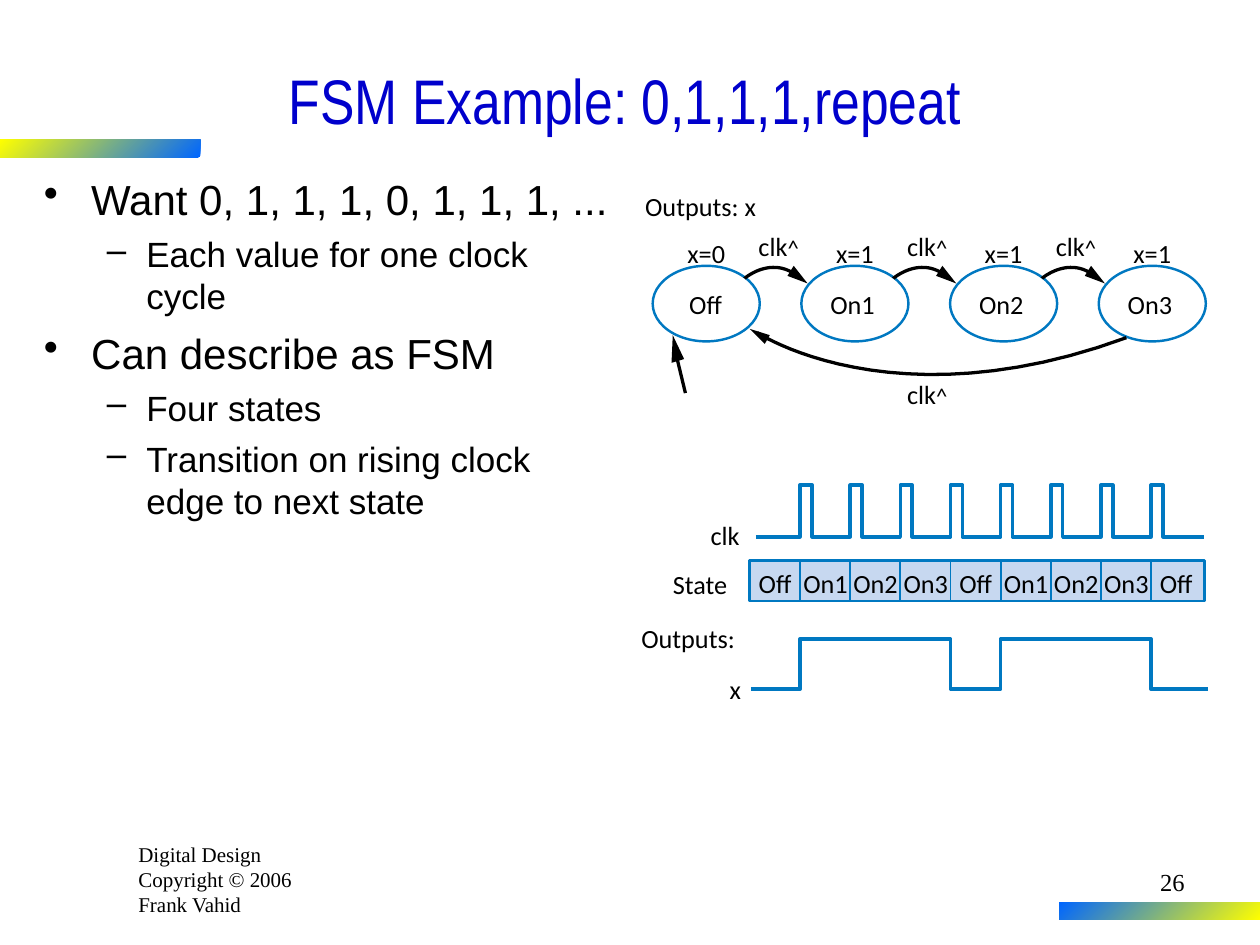
from lxml import etree
from pptx import Presentation
from pptx import util as u
from pptx.dml import color
from pptx.enum import shapes, text
from pptx.oxml import ns

CELL = 0.1  # grid cell in inches: the slide is 100 columns by 75 rows
BLACK, BLUE, TITLE_BLUE, PALE = "000000", "0078C1", "0000CC", "C7D8F0"
SERIF, SANS, LABEL = "Times New Roman", "Arial", "Calibri"


def rgb(hex_code):
    return color.RGBColor.from_string(hex_code)


def grid(*cells):
    return [u.Inches(cell * CELL) for cell in cells]


class SlideBuilder:
    """Draws on one slide; all lengths are columns and rows of the grid."""

    def __init__(self, presentation):
        self.slide = presentation.slides.add_slide(presentation.slide_layouts[6])
        self.shapes = self.slide.shapes

    def style_line(self, shape, line_color, width):
        shape.line.color.rgb = rgb(line_color)
        shape.line.width = u.Pt(width)

    def style_font(self, font, size, name, font_color=BLACK):
        font.size, font.name = u.Pt(size), name
        font.color.rgb = rgb(font_color)

    def text_box(self, box, lines, size, font, font_color=BLACK,
                 align=text.PP_ALIGN.LEFT, anchor=text.MSO_ANCHOR.TOP):
        frame = self.shapes.add_textbox(*grid(*box)).text_frame
        frame.word_wrap, frame.vertical_anchor = True, anchor
        frame.text = "\n".join(lines)
        for paragraph in frame.paragraphs:
            paragraph.alignment = align
            self.style_font(paragraph.font, size, font, font_color)

    def bullets(self, box, items):
        frame = self.shapes.add_textbox(*grid(*box)).text_frame
        frame.word_wrap = True
        # level: mark, size, left margin, hanging indent, space before
        levels = [("•", 24, 3.75, 3.75, 6), ("–", 20, 8.13, 3.13, 5)]
        for i, (level, wording) in enumerate(items):
            mark, size, margin, hanging, before = levels[level]
            paragraph = frame.add_paragraph() if i else frame.paragraphs[0]
            paragraph.text, paragraph.level = wording, level
            paragraph.space_before = u.Pt(before if i else 0)
            props = paragraph._p.get_or_add_pPr()
            left, hang = grid(margin, hanging)
            props.set("marL", str(left))
            props.set("indent", str(-hang))
            etree.SubElement(props, ns.qn("a:buChar")).set("char", mark)
            self.style_font(paragraph.font, size, SANS)

    def label(self, x, y, width, wording, caret=""):
        frame = self.shapes.add_textbox(*grid(x, y, width, 2.5)).text_frame
        frame.margin_left = frame.margin_right = 0
        frame.margin_top = frame.margin_bottom = 0
        frame.word_wrap = False
        paragraph = frame.paragraphs[0]
        paragraph.text = wording
        self.style_font(paragraph.font, 15, LABEL)
        if caret:
            run = paragraph.add_run()
            run.text, run.font.size = caret, u.Pt(13)

    def shape(self, kind, box, fill=None, line=None, width=1):
        shape = self.shapes.add_shape(kind, *grid(*box))
        shape.shadow.inherit = False
        if fill:
            shape.fill.solid()
            shape.fill.fore_color.rgb = rgb(fill)
        else:
            shape.fill.background()
        if line:
            self.style_line(shape, line, width)
        else:
            shape.line.fill.background()
        return shape

    def gradient_bar(self, box, colors):
        fill = self.shape(shapes.MSO_SHAPE.RECTANGLE, box).fill
        fill.gradient()
        fill.gradient_angle = 135
        for stop, stop_color in zip(fill.gradient_stops, colors):
            stop.color.rgb = rgb(stop_color)

    def line(self, start, end, line_color, width):
        connector = self.shapes.add_connector(
            shapes.MSO_CONNECTOR.STRAIGHT, *grid(*start, *end))
        self.style_line(connector, line_color, width)
        etree.SubElement(connector._element.spPr, ns.qn("a:effectLst"))

    def outline(self, points, close):
        points = [tuple(grid(*point)) for point in points]
        builder = self.shapes.build_freeform(*points[0])
        builder.add_line_segments(points[1:], close=close)
        shape = builder.convert_to_shape()
        shape.shadow.inherit = False
        return shape

    def trace(self, points, line_color=BLUE, width=2):
        shape = self.outline(points, close=False)
        shape.fill.background()
        self.style_line(shape, line_color, width)

    def arc(self, start, control, end, steps=24):
        """Cubic curve whose first control point is its start."""
        def at(t, a, c, e):
            s = 1 - t
            return a * (s**3 + 3 * s * s * t) + c * 3 * s * t * t + e * t**3
        self.trace([tuple(at(i / steps, *axis) for axis in zip(start, control, end))
                    for i in range(steps + 1)], BLACK, 1.87)

    def arrowhead(self, *corners):
        shape = self.outline(corners, close=True)
        shape.fill.solid()
        shape.fill.fore_color.rgb = rgb(BLACK)
        shape.line.fill.background()


def draw_state_machine(page):
    pitch, first, top = 11.8, 51.8, 21.1
    page.label(51.2, 15.1, 10.2, "Outputs: x")
    states = ["Off", "On1", "On2", "On3"]
    for i, state in enumerate(states):
        x = first + i * pitch
        page.shape(shapes.MSO_SHAPE.OVAL, (x, top, 8.5, 6), line=BLUE, width=1.39)
        if state == "Off":
            page.label(x + 2.9, 22.9, 2.7, state)
        else:
            page.label(x + 2.3, 22.9, 4.1, state)
        page.label(x + 2.75, 18.8, 3.5, "x=0" if state == "Off" else "x=1")
        # Transition to the next state
        if i < len(states) - 1:
            page.arc((x + 7.3, 22.1), (x + 9.5, 20.2), (x + 11.6, 22))
            page.arrowhead((x + 12.3, 22.5), (x + 11.2, 21.1), (x + 10.7, 21.9))
            page.label(x + 8.4, 18.3, 3.4, "clk", "^")
    # Return to Off
    page.arc((60.1, 26.4), (70.9, 33.6), (89.4, 26.8))
    page.arrowhead((59.5, 26.1), (60.7, 27.3), (61.1, 26.6))
    page.label(72, 30, 3.4, "clk", "^")
    # Initial state arrow
    page.line((54.4, 31.2), (53.7, 28.3), BLACK, 1.87)
    page.arrowhead((53.4, 26.6), (53.3, 28.8), (54.3, 28.5))


def draw_timing(page):
    period, first = 3.98, 63.5
    edges = [first + i * period for i in range(8)]
    # Signal names
    for x, y, width, name in [(56.4, 41.2, 2.7, "clk"), (53.4, 45.1, 5, "State"),
                              (50.9, 49.4, 8.6, "Outputs:"), (57.9, 53.4, 1.1, "x")]:
        page.label(x, y, width, name)
    # Clock
    low, high, pulse = 42.6, 38.5, 0.95
    clock = [(60, low)]
    for edge in edges:
        clock += [(edge, low), (edge, high), (edge + pulse, high), (edge + pulse, low)]
    page.trace(clock + [(95.6, low)])
    # State band
    page.shape(shapes.MSO_SHAPE.RECTANGLE, (59.5, 44.5, 36.1, 3.2), PALE, BLUE, 1.5)
    for edge in edges:
        page.line((edge, 44.6), (edge, 47.7), BLUE, 1)
    cycle = ["Off", "On1", "On2", "On3"]
    for i, start in enumerate([first - period] + edges):
        state = cycle[i % len(cycle)]
        inset, width = (0.7, 2.7) if state == "Off" else (0.25, 4.1)
        page.label(start + inset, 45, width, state)
    # Output x toggles on entering and leaving the On states
    low, high = 54.7, 50.7
    output, level = [(59.6, low)], low
    for edge in (edges[i] for i in (0, 3, 4, 7)):
        output.append((edge, level))
        level = high if level == low else low
        output.append((edge, level))
    page.trace(output + [(95.9, low)])


def main():
    presentation = Presentation()
    presentation.slide_width, presentation.slide_height = grid(100, 75)
    page = SlideBuilder(presentation)

    # Footer and accent bars
    page.text_box((10, 66.3, 16.7, 7), ["Digital Design", "Copyright © 2006", "Frank Vahid"],
                  12, SERIF)
    accent = ["0066FF", "FFFF00"]
    page.gradient_bar((0, 11.1, 15.9, 1.4), accent)
    page.gradient_bar((84.1, 71.6, 15.9, 1.4), accent[::-1])

    # Title and points
    page.text_box((2.5, 3.3, 94.2, 9.2), ["FSM Example: 0,1,1,1,repeat"], 36, "Arial Narrow",
                  TITLE_BLUE, text.PP_ALIGN.CENTER, text.MSO_ANCHOR.MIDDLE)
    page.bullets((2.5, 13.3, 47.5, 53.3), [
        (0, "Want 0, 1, 1, 1, 0, 1, 1, 1, ..."),
        (1, "Each value for one clock cycle"),
        (0, "Can describe as FSM"),
        (1, "Four states"),
        (1, "Transition on rising clock edge to next state"),
    ])

    draw_timing(page)
    draw_state_machine(page)

    # Page number
    page.text_box((74.2, 68.3, 20.8, 5), ["26"], 14, SERIF, align=text.PP_ALIGN.RIGHT)
    presentation.save("out.pptx")


if __name__ == "__main__":
    main()
